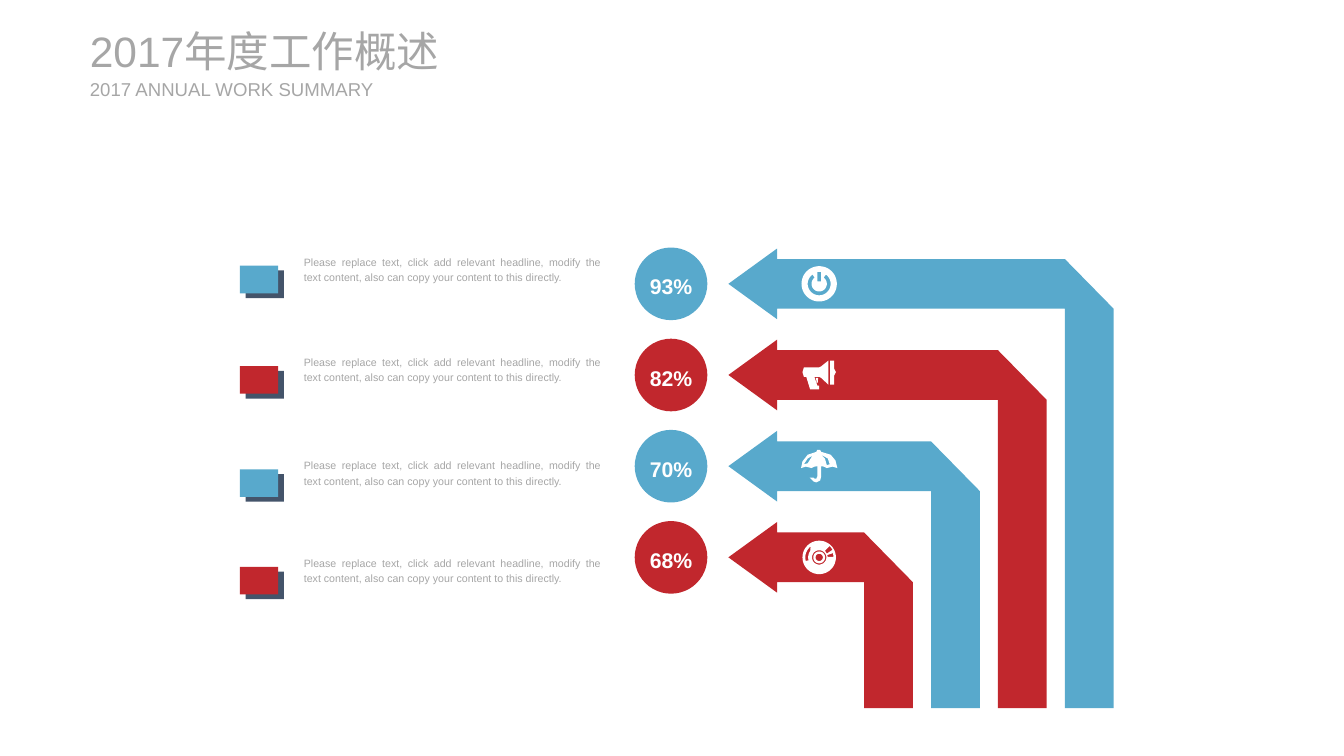
from math import cos, radians, sin

from pptx import Presentation
from pptx.dml.color import RGBColor
from pptx.enum.shapes import MSO_SHAPE as Shape
from pptx.enum.text import MSO_ANCHOR as Anchor, MSO_AUTO_SIZE as AutoSize, PP_ALIGN as Align
from pptx.util import Inches, Pt

COLORS = {"blue": "58A9CC", "red": "C1272D", "navy": "44546A",
          "gray": "A6A6A6", "white": "FFFFFF"}
FONT = "Arial"

# Content
TITLE = "2017年度工作概述"
SUBTITLE = "2017 ANNUAL WORK SUMMARY"
NOTE = ("Please replace text, click add relevant headline, modify the text content, "
        "also can copy your content to this directly.")
# share, color, icon, top of note
ROWS = [("93%", "blue", "power", 2.6),
        ("82%", "red", "megaphone", 3.65),
        ("70%", "blue", "umbrella", 4.73),
        ("68%", "red", "disc", 5.75)]


def arc(radius, start=0, end=360, steps=48):
    """Points on an arc around the icon center, clockwise from the right."""
    angles = [radians(start + (end - start) * i / steps) for i in range(steps + 1)]
    return [(radius * cos(a), radius * sin(a)) for a in angles]


# Icon outlines in hundredths of an inch around the icon center;
# an outline inside another one cuts a hole
ICONS = {
    "power": [
        arc(18.5),
        [(-2, -12.5), (2, -12.5), (2, -2.5), (-2, -2.5)],
        arc(12, -54, 234) + arc(8, 234, -54)],
    "megaphone": [
        [(-16, -8), (0, -8), (2, -9), (9.5, -15), (9.5, 10), (2, 3), (0, 2), (-5, 2),
         (-2, 11), (0, 11), (0, 15), (-9.5, 15), (-13.5, 2), (-16, 2), (-17.5, -3)],
        [(11.5, -15), (15.5, -15), (15.5, -7), (17.5, -3), (15.5, 1), (15.5, 10),
         (11.5, 10)],
        [(-1, 3), (-3.5, 3), (-2.5, 8), (-1.5, 8), (-1.5, 6)]],
    "umbrella": [
        [(-19, 2), (-17.5, -5), (-12, -12), (-3, -15), (-2, -17), (1, -17), (2, -15),
         (12, -12), (17, -6), (19, 2), (14, 0.5), (8, 2), (5, 0.5), (2, 0), (2, 11),
         (1, 15), (-3, 17), (-6, 16), (-10, 12), (-6, 12), (-5, 13), (-3, 13),
         (-2, 11), (-2, 0), (-5, 0.5), (-8, 2), (-14, 0.5)],
        [(8, -1), (11, -2), (9, -8), (2, -12), (6, -8)],
        [(-16, -2), (-12, -3), (-7, -11), (-12, -8)]],
    "disc": [
        arc(17.5), arc(7.5), arc(6.2), arc(3.8),
        arc(14.5, 165, 232) + arc(11.5, 215, 165),
        [(6, -7), (11, -12), (14, -8), (8, -4)],
        [(8.5, -2.5), (14.5, -4.5), (15, -0.5), (8.8, -0.5)]],
}

# Arrow geometry
FIRST_Y, ROW_STEP = 2.97, 0.954
TIP_X, NECK_X, HEAD_HALF, SHAFT_HALF = 7.62, 8.13, 0.37, 0.26
OUTER_X, COLUMN_STEP, COLUMN_W, BASE_Y = 11.65, 0.7, 0.51, 7.41
ICON_X = 8.57
BADGE_X, BADGE = 6.64, 0.76


def paint(shape, color):
    shape.shadow.inherit = False
    shape.fill.solid()
    shape.fill.fore_color.rgb = RGBColor.from_string(COLORS[color])
    shape.line.fill.background()
    return shape


def add_box(kind, left, top, width, height, color):
    box = page.shapes.add_shape(kind, Inches(left), Inches(top),
                                Inches(width), Inches(height))
    return paint(box, color)


def add_outline(contours, color):
    """Draw one freeform from closed contours given in inches."""
    builder = None
    for contour in contours:
        points = [(Inches(x), Inches(y)) for x, y in contour]
        if builder is None:
            builder = page.shapes.build_freeform(*points[0], scale=1.0)
        else:
            builder.move_to(*points[0])
        builder.add_line_segments(points[1:], close=True)
    paint(builder.convert_to_shape(), color)


def write(box, text, size, color, bold=False, align=Align.LEFT, anchor=Anchor.TOP,
          spacing=1.0, inset=0.0, wrap=True):
    frame = box.text_frame
    frame.word_wrap, frame.auto_size = wrap, AutoSize.NONE
    frame.vertical_anchor = anchor
    frame.margin_left = frame.margin_right = Inches(inset)
    frame.margin_top = frame.margin_bottom = Inches(inset / 2)
    para = frame.paragraphs[0]
    para.alignment, para.line_spacing = align, spacing
    para.space_before = Pt(0)
    span = para.add_run()
    span.text = text
    span.font.name, span.font.size, span.font.bold = FONT, Pt(size), bold
    span.font.color.rgb = RGBColor.from_string(COLORS[color])


def place(box, left, top, width, height):
    box.left, box.top = Inches(left), Inches(top)
    box.width, box.height = Inches(width), Inches(height)


deck = Presentation()
deck.slide_width, deck.slide_height = Inches(14.06), Inches(7.91)
page = deck.slides.add_slide(deck.slide_layouts[0])

# Headings
title, subtitle = page.shapes.title, page.placeholders[1]
place(title, 0.94, 0.26, 4.32, 0.54)
write(title, TITLE, 32, "gray", anchor=Anchor.MIDDLE)
place(subtitle, 0.94, 0.81, 3.07, 0.24)
write(subtitle, SUBTITLE, 14, "gray", anchor=Anchor.MIDDLE)

for i, (share, color, icon, note_top) in enumerate(ROWS):
    y = FIRST_Y + i * ROW_STEP

    # Badge with the share
    badge = add_box(Shape.OVAL, BADGE_X, y - BADGE / 2, BADGE, BADGE, color)
    write(badge, share, 16, "white", bold=True, align=Align.CENTER,
          anchor=Anchor.MIDDLE, spacing=1.2, wrap=False)

    # Bent arrow
    right = OUTER_X - i * COLUMN_STEP
    left = right - COLUMN_W
    upper, lower = y - SHAFT_HALF, y + SHAFT_HALF
    add_outline([[(TIP_X, y), (NECK_X, y - HEAD_HALF), (NECK_X, upper), (left, upper),
                  (right, lower), (right, BASE_Y), (left, BASE_Y), (left, lower),
                  (NECK_X, lower), (NECK_X, y + HEAD_HALF)]], color)

    # Icon on the arrow
    add_outline([[(ICON_X + dx / 100, y + dy / 100) for dx, dy in contour]
                 for contour in ICONS[icon]], "white")

    # Marker and note
    add_box(Shape.RECTANGLE, 2.57, note_top + 0.23, 0.4, 0.29, "navy")
    add_box(Shape.RECTANGLE, 2.51, note_top + 0.18, 0.4, 0.29, color)
    note = page.shapes.add_textbox(Inches(3.08), Inches(note_top),
                                   Inches(3.31), Inches(0.41))
    write(note, NOTE, 8, "gray", align=Align.JUSTIFY, spacing=1.2, inset=0.1)

deck.save("out.pptx")
